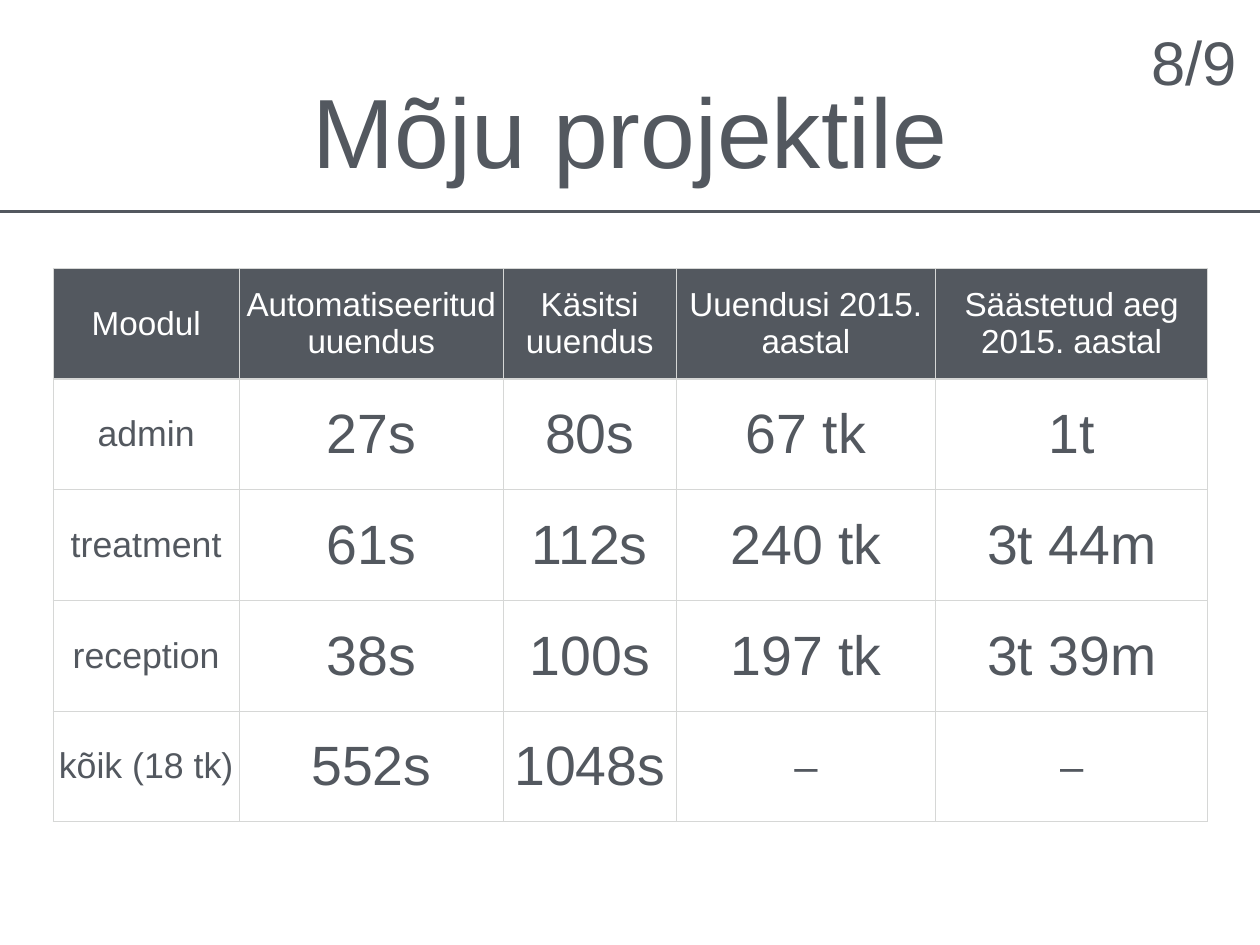
from pptx import Presentation
from pptx.dml.color import RGBColor
from pptx.enum.shapes import MSO_CONNECTOR
from pptx.enum.text import MSO_ANCHOR, MSO_AUTO_SIZE, PP_ALIGN
from pptx.oxml import parse_xml
from pptx.oxml.ns import nsdecls
from pptx.util import Inches, Pt
from lxml.etree import SubElement

SLATE = RGBColor(0x53, 0x58, 0x5F)
SILVER = RGBColor(0xD6, 0xD7, 0xD6)
WHITE = RGBColor(0xFF, 0xFF, 0xFF)
INSET = Inches(0.06)

HEADS = ["Moodul", "Automatiseeritud uuendus", "Käsitsi uuendus",
         "Uuendusi 2015. aastal", "Säästetud aeg 2015. aastal"]
MODULES = [
    ["admin", "27s", "80s", "67 tk", "1t"],
    ["treatment", "61s", "112s", "240 tk", "3t 44m"],
    ["reception", "38s", "100s", "197 tk", "3t 39m"],
    ["kõik (18 tk)", "552s", "1048s", "–", "–"],
]
WIDTHS = [2.1, 2.98, 1.95, 2.93, 3.07]


def style(box, text, size, color):
    """Fill a text frame or table cell with one centred line of text."""
    box.margin_left = box.margin_right = INSET
    box.margin_top = box.margin_bottom = INSET
    box.vertical_anchor = MSO_ANCHOR.MIDDLE
    box.text = text
    frame = getattr(box, "text_frame", box)
    par = frame.paragraphs[0]
    par.alignment = PP_ALIGN.CENTER
    par.font.name = "Arial"
    par.font.size = Pt(size)
    par.font.color.rgb = color


def edge(cell, side, width):
    """Draw one border of a cell; side is L, R, T or B."""
    cell._tc.get_or_add_tcPr().append(parse_xml(
        f'<a:ln{side} {nsdecls("a")} w="{Pt(width)}"><a:solidFill>'
        f'<a:srgbClr val="{SILVER}"/></a:solidFill></a:ln{side}>'))


deck = Presentation()
deck.slide_width, deck.slide_height = Inches(14.22), Inches(10.67)
slide = deck.slides.add_slide(deck.slide_layouts[5])
shapes = slide.shapes

title = shapes.title
title.left, title.top = Inches(1.04), Inches(0.28)
title.width, title.height = Inches(12.14), Inches(2.36)
style(title.text_frame, "Mõju projektile", 80, SLATE)
title.text_frame.auto_size = MSO_AUTO_SIZE.NONE

rows = [HEADS] + MODULES
table = shapes.add_table(len(rows), len(HEADS), Inches(0.6), Inches(3.03),
                         Inches(sum(WIDTHS)), Inches(1.25 * len(rows))).table
table.horz_banding = False
for column, width in zip(table.columns, WIDTHS):
    column.width = Inches(width)

for r, row in enumerate(rows):
    for c, text in enumerate(row):
        cell = table.cell(r, c)
        head = r == 0
        if head:
            size = 27
        elif c == 0:
            size = 29
        else:
            size = 34 if text == "–" else 45
        style(cell, text, size, WHITE if head else SLATE)
        cell.text_frame.paragraphs[0].font.bold = False
        for side in "LRTB":
            edge(cell, side, 2 if head and side == "B" else 1)
        if head:
            cell.fill.solid()
            cell.fill.fore_color.rgb = SLATE
        else:
            cell.fill.background()

page = shapes.add_textbox(Inches(12.93), Inches(0.22), Inches(1.09), Inches(0.94))
style(page.text_frame, "8/9", 50, SLATE)
page.text_frame.word_wrap = False
page.text_frame.auto_size = MSO_AUTO_SIZE.SHAPE_TO_FIT_TEXT

rule = shapes.add_connector(MSO_CONNECTOR.STRAIGHT, 0, Inches(2.39),
                            deck.slide_width, Inches(2.39))
rule.line.color.rgb = SLATE
rule.line.width = Pt(2)
SubElement(rule._element.spPr,
           "{http://schemas.openxmlformats.org/drawingml/2006/main}effectLst")

deck.save("out.pptx")
